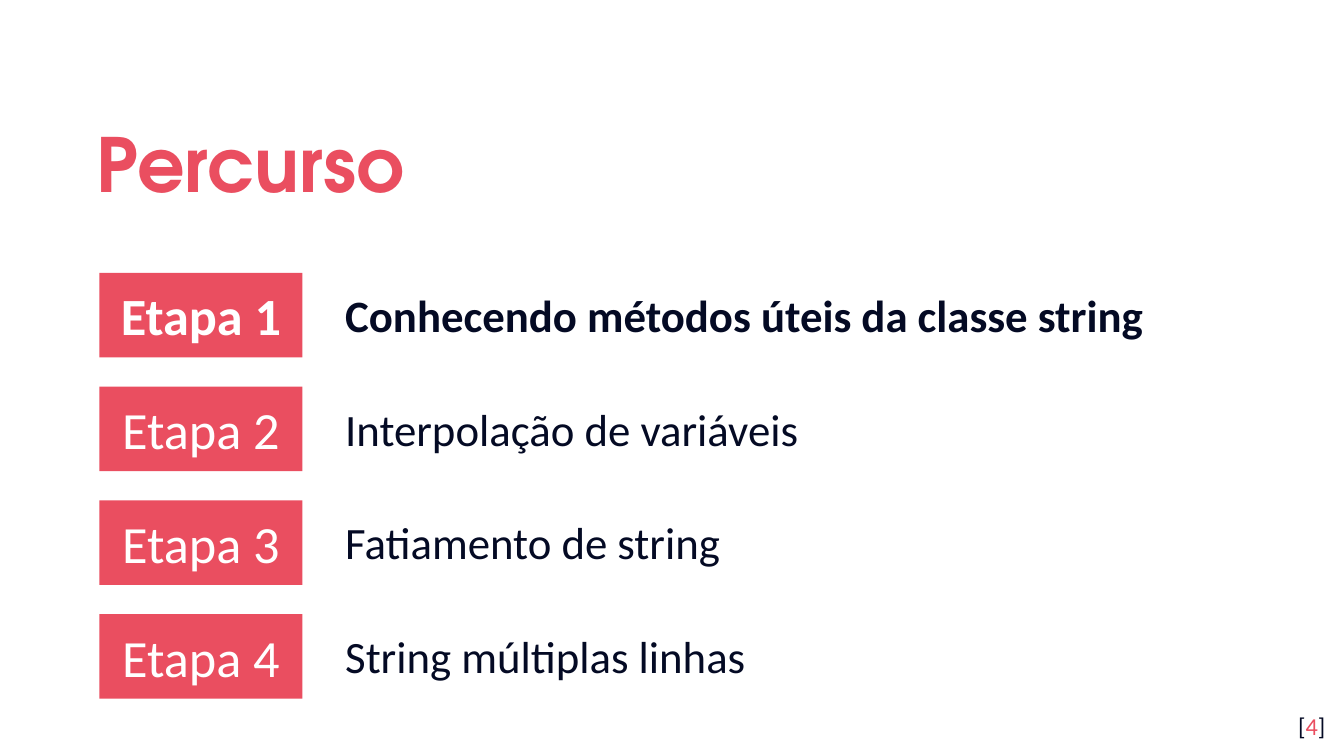
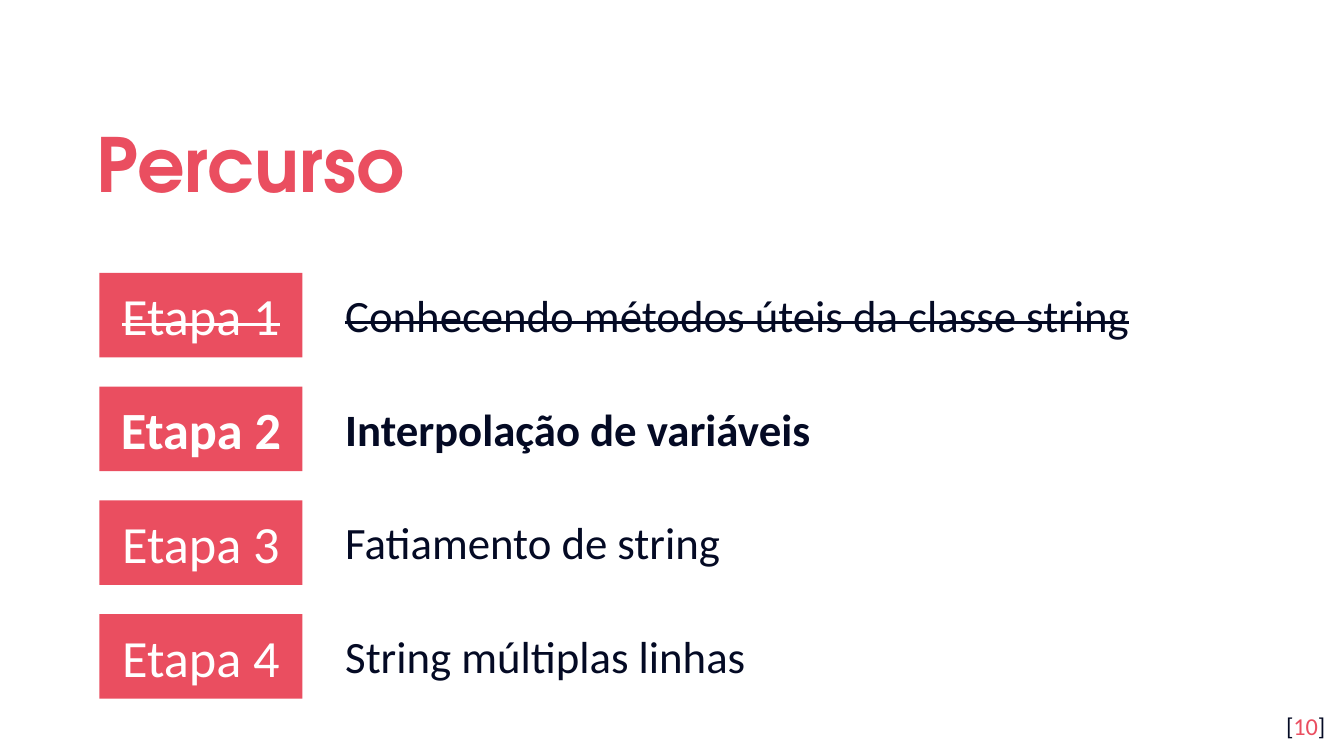
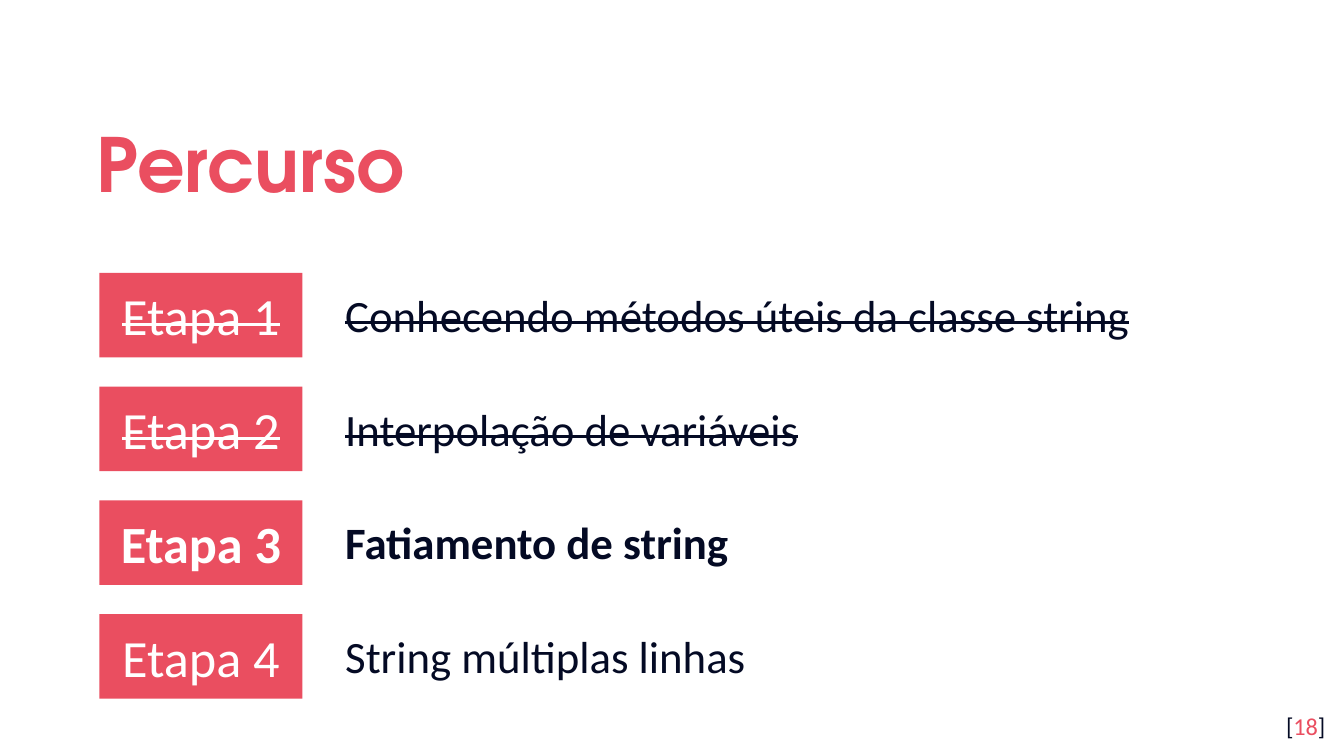
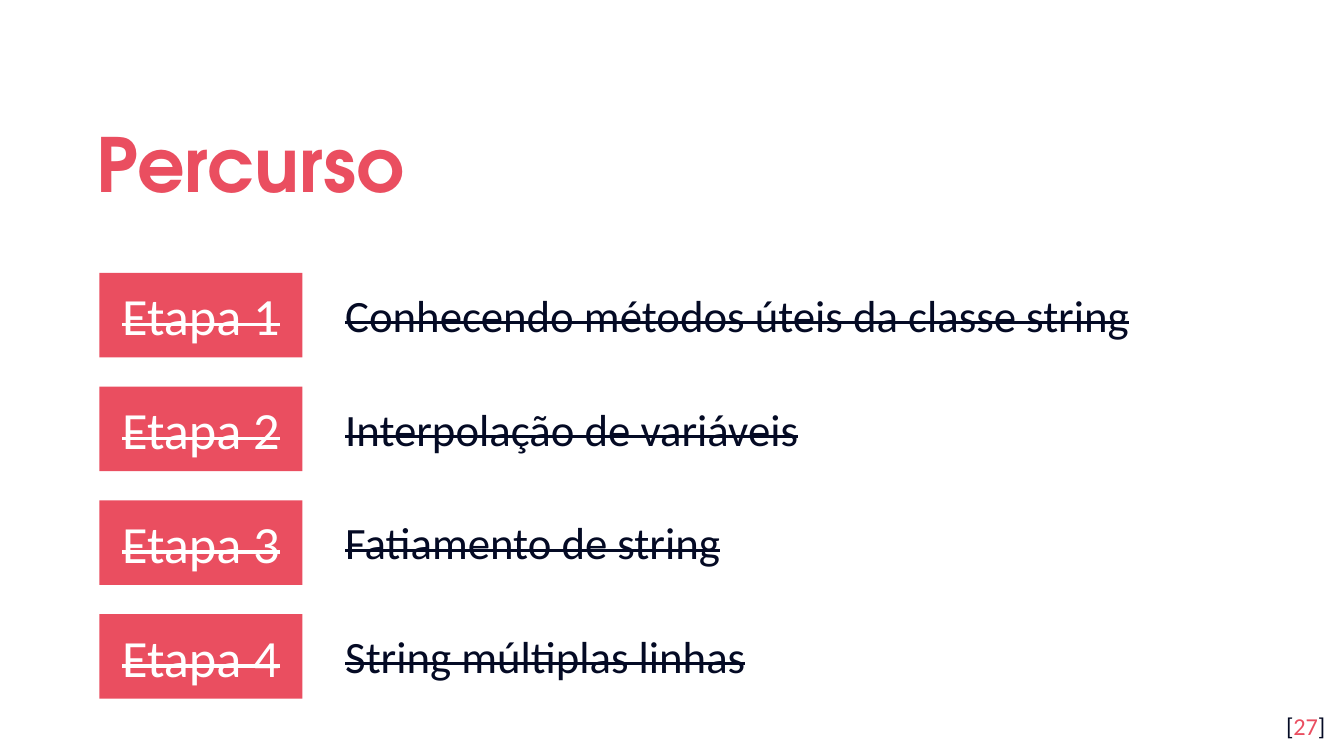
from pptx import Presentation
from pptx.dml.color import RGBColor
from pptx.enum import shapes, text
from pptx.util import Inches, Pt

RED, NAVY, WHITE = "EA4E60", "040A24", "FFFFFF"
BODY, HEAD = "Calibri", "TeX Gyre Adventor"
STEPS = [
    "Conhecendo métodos úteis da classe string",
    "Interpolação de variáveis",
    "Fatiamento de string",
    "String múltiplas linhas",
]
# Page number and the step in progress; a step past the last means all are done
PAGES = [(4, 1), (10, 2), (18, 3), (27, 5)]
FIRST, LAST = 2.03, 4.57
PITCH = (LAST - FIRST) / (len(STEPS) - 1)


def paint(color, code):
    color.rgb = RGBColor.from_string(code)


def style(para, size, code, name=BODY, bold=False):
    font = para.font
    font.size, font.name, font.bold = Pt(size), name, bold
    paint(font.color, code)


def frame(shape, anchor, inset=0.1):
    """Set wrapping, anchor and insets; return the first paragraph."""
    body = shape.text_frame
    body.word_wrap = True
    body.auto_size = text.MSO_AUTO_SIZE.NONE
    body.vertical_anchor = anchor
    body.margin_left = body.margin_right = Inches(0.1)
    body.margin_top = body.margin_bottom = Inches(inset)
    return body.paragraphs[0]


def write(para, words, strike=False):
    run = para.add_run()
    run.text = words
    if strike:
        run._r.get_or_add_rPr().set("strike", "sngStrike")
    return run


def add_title(slide, words, left, top, width, height):
    title = slide.shapes.title
    title.left, title.top = Inches(left), Inches(top)
    title.width, title.height = Inches(width), Inches(height)
    para = frame(title, text.MSO_ANCHOR.MIDDLE)
    para.alignment = text.PP_ALIGN.LEFT
    para.line_spacing = 1.15
    style(para, 40, RED, HEAD, True)
    write(para, words)


def add_step(slide, left, top, num, words, now):
    """Draw one tag and its topic: struck when done, bold when in progress."""
    done, bold = num < now, num == now
    tag = slide.shapes.add_shape(
        shapes.MSO_SHAPE.RECTANGLE,
        Inches(left), Inches(top), Inches(1.51), Inches(0.63))
    tag.shadow.inherit = False
    tag.fill.solid()
    paint(tag.fill.fore_color, RED)
    tag.line.fill.background()
    para = frame(tag, text.MSO_ANCHOR.MIDDLE)
    para.alignment = text.PP_ALIGN.CENTER
    style(para, 28, WHITE, bold=bold)
    write(para, f"Etapa {num}", done)

    topic = slide.shapes.add_textbox(
        Inches(left + 1.73), Inches(top + 0.06), Inches(6.75), Inches(0.5))
    para = frame(topic, text.MSO_ANCHOR.TOP, 0.05)
    style(para, 24, NAVY, bold=bold)
    write(para, words, done)


def add_number(slide, page, left, top, width, height):
    box = slide.shapes.add_textbox(
        Inches(left), Inches(top), Inches(width), Inches(height))
    para = frame(box, text.MSO_ANCHOR.TOP)
    para.alignment = text.PP_ALIGN.RIGHT
    style(para, 13, NAVY)
    for words, code in (("[", NAVY), (str(page), RED), ("]", NAVY)):
        paint(write(para, words).font.color, code)


def add_route(deck, page, now):
    slide = deck.slides.add_slide(deck.slide_layouts[5])
    add_title(slide, "Percurso", 0.62, 0.7, 8.1, 0.92)
    for num, words in enumerate(STEPS, 1):
        add_step(slide, 0.74, FIRST + (num - 1) * PITCH, num, words, now)
    add_number(slide, page, 9.36, 5.19, 0.6, 0.43)


def main():
    deck = Presentation()
    deck.slide_width = Inches(10)
    deck.slide_height = Inches(10 * 9 / 16)
    for page, now in PAGES:
        add_route(deck, page, now)
    deck.save("out.pptx")


if __name__ == "__main__":
    main()
